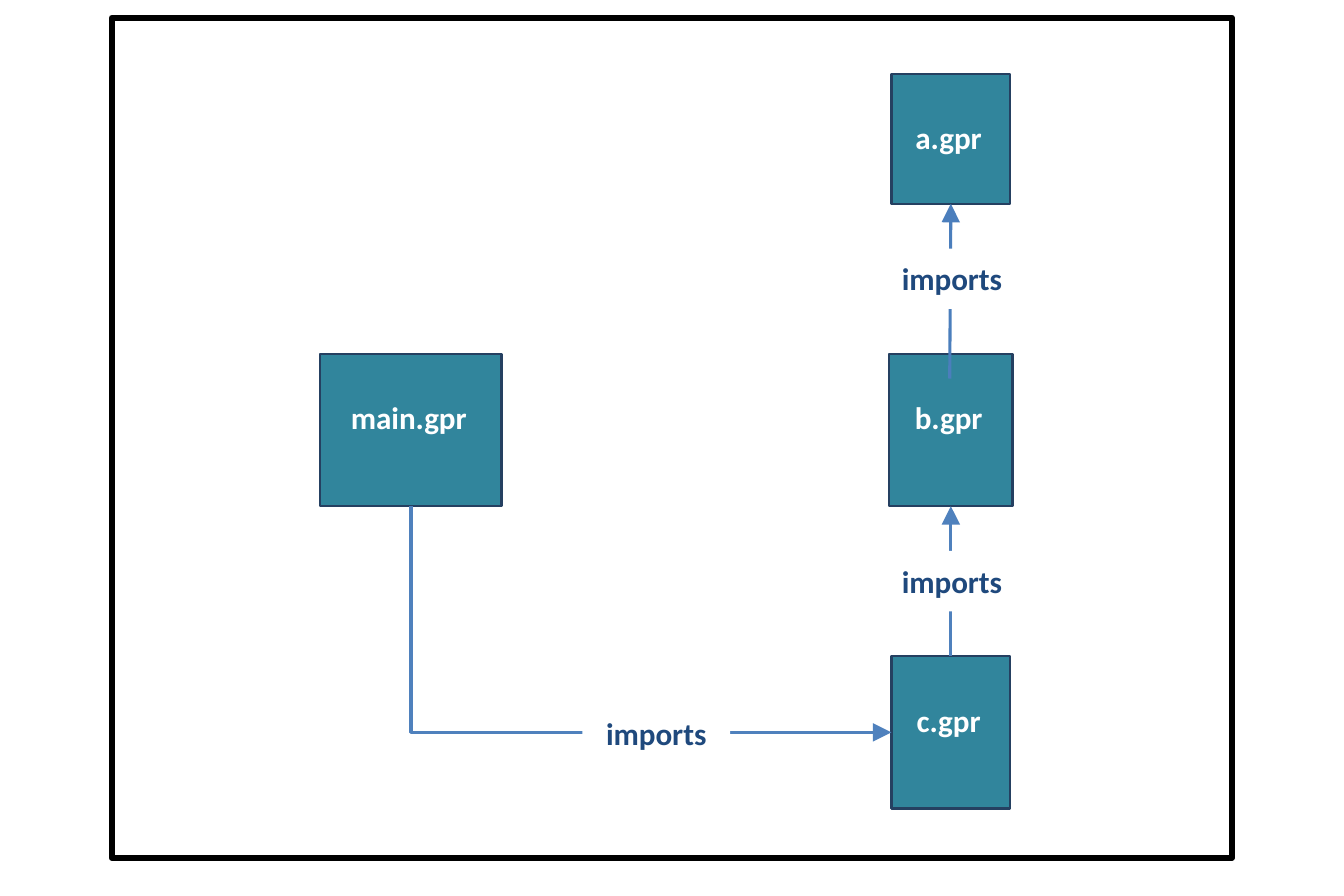
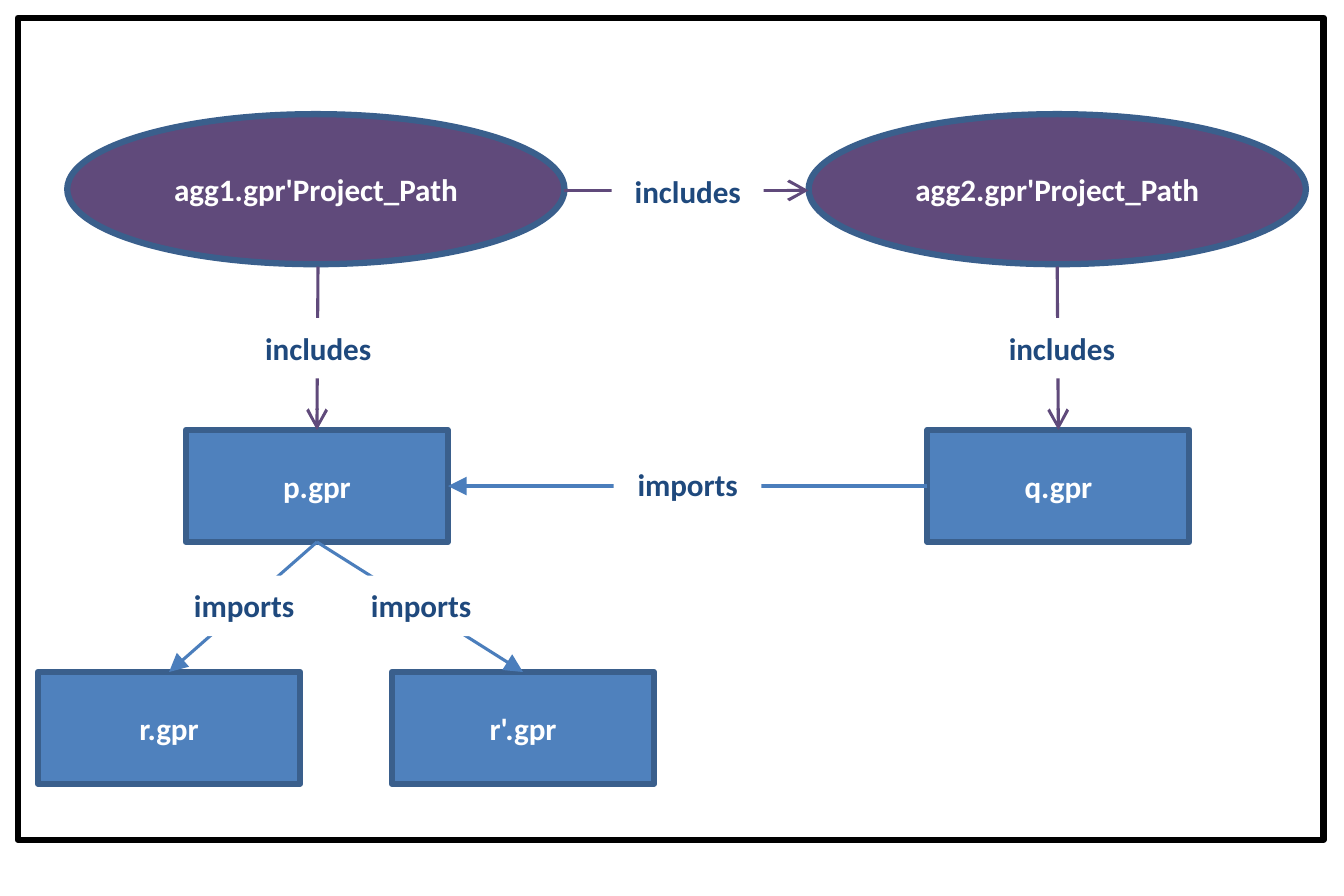
"""Build two slides that show how project files import and include each other."""
from lxml import etree
from pptx import Presentation
from pptx.dml.color import RGBColor
from pptx.enum.shapes import MSO_CONNECTOR, MSO_SHAPE
from pptx.enum.text import MSO_ANCHOR, MSO_AUTO_SIZE, PP_ALIGN
from pptx.oxml.ns import qn
from pptx.util import Inches, Pt

RECTANGLE, OVAL = MSO_SHAPE.RECTANGLE, MSO_SHAPE.OVAL
STRAIGHT, ELBOW = MSO_CONNECTOR.STRAIGHT, MSO_CONNECTOR.ELBOW
ANCHOR_TOP, ANCHOR_MIDDLE = MSO_ANCHOR.TOP, MSO_ANCHOR.MIDDLE
FIT_NONE, FIT_SHAPE = MSO_AUTO_SIZE.NONE, MSO_AUTO_SIZE.SHAPE_TO_FIT_TEXT
CENTER = PP_ALIGN.CENTER
TOP, LEFT, BOTTOM, RIGHT = range(4)

COLORS = {
    "black": "000000", "white": "FFFFFF", "label": "1F497D",
    "teal": "31859C", "teal edge": "254061",
    "blue": "4F81BD", "blue edge": "3A5F8C", "blue line": "4B7EBC",
    "purple": "604A7B",
}
MIDDLE_TEXT = {"vertical_anchor": ANCHOR_MIDDLE, "word_wrap": True, "auto_size": FIT_NONE}
STYLES = {
    "frame": {"kind": RECTANGLE, "fill": None, "edge": "black", "width": 2,
              "font": "black", "frame": {}},
    "file": {"kind": RECTANGLE, "fill": "teal", "edge": "teal edge", "width": 0.75,
             "font": "white",
             "frame": {"vertical_anchor": ANCHOR_TOP, "word_wrap": False,
                       "auto_size": FIT_NONE, "margin_left": Inches(0.07),
                       "margin_top": Inches(0.2), "margin_right": Inches(0.09),
                       "margin_bottom": Inches(0.03)}},
    "project": {"kind": RECTANGLE, "fill": "blue", "edge": "blue edge", "width": 2,
                "font": "white", "frame": MIDDLE_TEXT},
    "aggregate": {"kind": OVAL, "fill": "purple", "edge": "blue edge", "width": 2,
                  "font": "white", "frame": MIDDLE_TEXT},
    "label": {"kind": RECTANGLE, "fill": "white", "edge": None, "width": 0,
              "font": "label",
              "frame": {"vertical_anchor": ANCHOR_TOP, "word_wrap": False,
                        "auto_size": FIT_SHAPE}},
}
boxes = {}


def add_box(page, style_name, text, left, top, width, height):
    style = STYLES[style_name]
    box = page.shapes.add_shape(
        style["kind"], Inches(left), Inches(top), Inches(width), Inches(height))
    box.shadow.inherit = False
    if style["fill"]:
        box.fill.solid()
        box.fill.fore_color.rgb = RGBColor.from_string(COLORS[style["fill"]])
    else:
        box.fill.background()
    if style["edge"]:
        box.line.color.rgb = RGBColor.from_string(COLORS[style["edge"]])
        box.line.width = Pt(style["width"])
    else:
        box.line.fill.background()
    for name, value in style["frame"].items():
        setattr(box.text_frame, name, value)
    if text:
        para = box.text_frame.paragraphs[0]
        para.alignment = CENTER
        span = para.add_run()
        span.text = text
        for name, value in {"name": "Calibri", "size": Pt(10), "bold": True}.items():
            setattr(span.font, name, value)
        span.font.color.rgb = RGBColor.from_string(COLORS[style["font"]])
    return box


def add_arrow(page, kind, start, end, color, head):
    arrow = page.shapes.add_connector(kind, 0, 0, 0, 0)
    if isinstance(start[0], str):
        arrow.begin_connect(boxes[start[0]], start[1])
    else:
        arrow.begin_x, arrow.begin_y = Inches(start[0]), Inches(start[1])
    if isinstance(end[0], str):
        arrow.end_connect(boxes[end[0]], end[1])
    else:
        arrow.end_x, arrow.end_y = Inches(end[0]), Inches(end[1])
    arrow.line.color.rgb = RGBColor.from_string(COLORS[color])
    arrow.line.width = Pt(1)
    properties = arrow.element.spPr
    etree.SubElement(properties.find(qn("a:ln")), qn("a:tailEnd"), type=head)
    etree.SubElement(properties, qn("a:effectLst"))
    return arrow


deck = Presentation()
deck.slide_width, deck.slide_height = Inches(6), Inches(4)
blank = deck.slide_layouts[6]

page = deck.slides.add_slide(blank)
add_box(page, "frame", "", 0.5, 0.08, 5, 3.75)
for text, left, top, width, height in [
    ("a.gpr", 3.98, 0.33, 0.53, 0.58),
    ("c.gpr", 3.98, 2.93, 0.53, 0.68),
    ("b.gpr", 3.97, 1.58, 0.55, 0.68),
    ("main.gpr", 1.43, 1.58, 0.81, 0.68),
]:
    boxes[text] = add_box(page, "file", text, left, top, width, height)

add_arrow(page, STRAIGHT, ("c.gpr", TOP), ("b.gpr", BOTTOM), "blue", "triangle")
bend = add_arrow(page, ELBOW, ("main.gpr", BOTTOM), ("c.gpr", LEFT), "blue", "triangle")
run, drop = bend.width, bend.height
bend.left, bend.top = bend.left + (run - drop) // 2, bend.top + (drop - run) // 2
bend.width, bend.height = drop, run
bend_properties = bend.element.spPr
bend_properties.find(qn("a:prstGeom")).set("prst", "bentConnector2")
for name, value in {"rot": "16200000", "flipH": "1"}.items():
    bend_properties.find(qn("a:xfrm")).set(name, value)
add_arrow(page, STRAIGHT, (4.24, 1.69), ("a.gpr", BOTTOM), "blue line", "triangle")
for left, top in [(2.6, 3.14), (3.92, 2.46), (3.92, 1.11)]:
    add_box(page, "label", "imports", left, top, 0.66, 0.27)

page = deck.slides.add_slide(blank)
for text, left in [("agg1.gpr'Project_Path", 0.3), ("agg2.gpr'Project_Path", 3.61)]:
    add_box(page, "aggregate", text, left, 0.51, 2.22, 0.67)
for text, left, top in [
    ("p.gpr", 0.83, 1.92), ("q.gpr", 4.14, 1.92),
    ("r.gpr", 0.17, 3), ("r'.gpr", 1.75, 3),
]:
    boxes[text] = add_box(page, "project", text, left, top, 1.17, 0.5)

for start, end in [
    ((1.42, 1.19), ("p.gpr", TOP)),
    ((4.72, 1.19), ("q.gpr", TOP)),
    ((2.52, 0.85), (3.61, 0.85)),
]:
    add_arrow(page, STRAIGHT, start, end, "purple", "arrow")
for start, end in [
    (("p.gpr", BOTTOM), ("r.gpr", TOP)),
    (("p.gpr", BOTTOM), ("r'.gpr", TOP)),
    (("q.gpr", LEFT), ("p.gpr", RIGHT)),
]:
    add_arrow(page, STRAIGHT, start, end, "blue line", "triangle")
for text, width, places in [
    ("includes", 0.68, [(1.08, 1.42), (4.4, 1.42), (2.73, 0.72)]),
    ("imports", 0.66, [(0.76, 2.57), (2.74, 2.03), (1.55, 2.57)]),
]:
    for left, top in places:
        add_box(page, "label", text, left, top, width, 0.27)
add_box(page, "frame", "", 0.08, 0.08, 5.83, 3.67)

deck.save("out.pptx")
